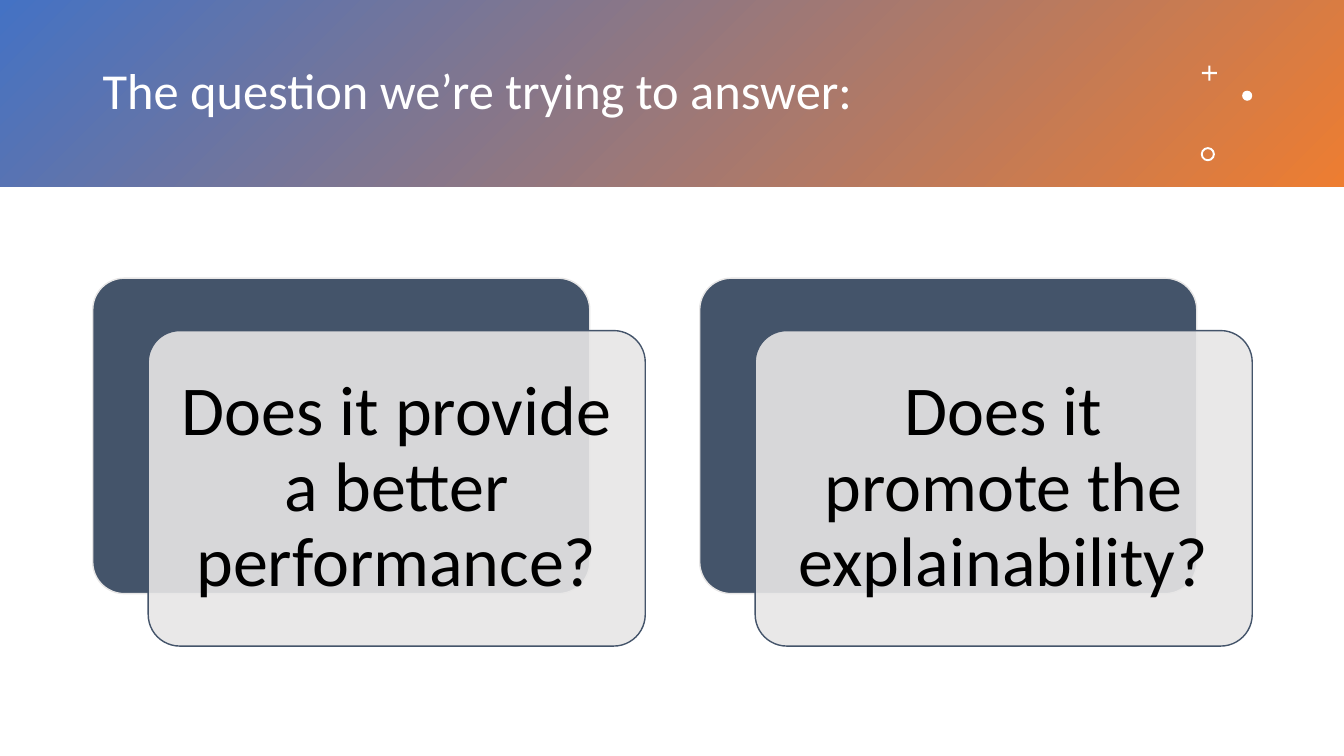
"""Build a slide that asks two questions on layered cards."""
from dataclasses import dataclass

from lxml.etree import SubElement
from pptx import Presentation
from pptx.dml.color import RGBColor as RGB
from pptx.enum.shapes import MSO_SHAPE as Shape
from pptx.enum.text import MSO_ANCHOR as Anchor, PP_ALIGN as Align
from pptx.oxml.ns import qn
from pptx.util import Inches, Pt


@dataclass(frozen=True)
class Theme:
    font: str = "Calibri"
    title: int = 36
    body: int = 50
    blue: RGB = RGB(0x44, 0x72, 0xC4)
    orange: RGB = RGB(0xED, 0x7D, 0x31)
    slate: RGB = RGB(0x44, 0x54, 0x6A)
    pale: RGB = RGB(0xE7, 0xE6, 0xE6)
    white: RGB = RGB(0xFF, 0xFF, 0xFF)
    black: RGB = RGB(0, 0, 0)


THEME = Theme()
WIDTH, HEIGHT = 13.33, 7.5
CARD_W, CARD_H = 4.93, 3.13
LEFT, TOP, PITCH = 0.92, 2.76, 6.02
SHIFT_X, SHIFT_Y, INSET = 0.55, 0.52, 0.09
QUESTIONS = (
    "Does it provide a better performance?",
    "Does it promote the explainability?",
)
MARKS = (
    (Shape.CROSS, 11.92, 0.65, 0.15, 0.43),
    (Shape.OVAL, 12.32, 0.9, 0.1, None),
    (Shape.DONUT, 11.91, 1.46, 0.14, 0.14),
)


def add_form(slide, kind, box, fill=None, line=None, adj=None):
    shape = slide.shapes.add_shape(kind, *map(Inches, box))
    shape.shadow.inherit = False
    if adj is not None:
        shape.adjustments[0] = adj
    if fill is not None:
        shape.fill.solid()
        shape.fill.fore_color.rgb = fill
    if line is None:
        shape.line.fill.background()
    else:
        shape.line.color.rgb = line
        shape.line.width = Pt(1)
    return shape


def add_text(slide, box, text, size, color, align=Align.LEFT, pad=None):
    frame = slide.shapes.add_textbox(*map(Inches, box)).text_frame
    frame.word_wrap = True
    frame.vertical_anchor = Anchor.MIDDLE
    if pad is not None:
        frame.margin_left = frame.margin_right = Inches(pad)
        frame.margin_top = frame.margin_bottom = Inches(pad)
    frame.text = text
    para = frame.paragraphs[0]
    para.alignment = align
    para.line_spacing = 0.9
    font = para.runs[0].font
    font.name, font.size = THEME.font, Pt(size)
    font.color.rgb = color


def add_banner(slide):
    fill = add_form(slide, Shape.RECTANGLE, (0, 0, WIDTH, 1.85)).fill
    fill.gradient()
    fill.gradient_angle = 315
    for stop, color in zip(fill.gradient_stops, (THEME.blue, THEME.orange)):
        stop.color.rgb = color


def add_card(slide, left, text):
    box = (left, TOP, CARD_W, CARD_H)
    add_form(slide, Shape.ROUNDED_RECTANGLE, box, THEME.slate, THEME.pale, 0.1)
    x, y = left + SHIFT_X, TOP + SHIFT_Y
    front = add_form(slide, Shape.ROUNDED_RECTANGLE, (x, y, CARD_W, CARD_H),
                     THEME.pale, THEME.slate, 0.1)
    tint = front.fill._xPr.find(qn("a:solidFill"))[0]
    SubElement(tint, qn("a:alpha")).set("val", "90000")
    inner = (x + INSET, y + INSET, CARD_W - 2 * INSET, CARD_H - 2 * INSET)
    add_text(slide, inner, text, THEME.body, THEME.black, Align.CENTER, 0.21)


def main():
    deck = Presentation()
    deck.slide_width, deck.slide_height = Inches(WIDTH), Inches(HEIGHT)
    slide = deck.slides.add_slide(deck.slide_layouts[6])
    add_banner(slide)
    add_text(slide, (LEFT, 0.33, 10.75, 1.19),
             "The question we’re trying to answer:", THEME.title, THEME.white)
    for kind, left, top, size, adj in MARKS:
        add_form(slide, kind, (left, top, size, size), THEME.white, adj=adj)
    for i, text in enumerate(QUESTIONS):
        add_card(slide, LEFT + i * PITCH, text)
    deck.save("out.pptx")


if __name__ == "__main__":
    main()
